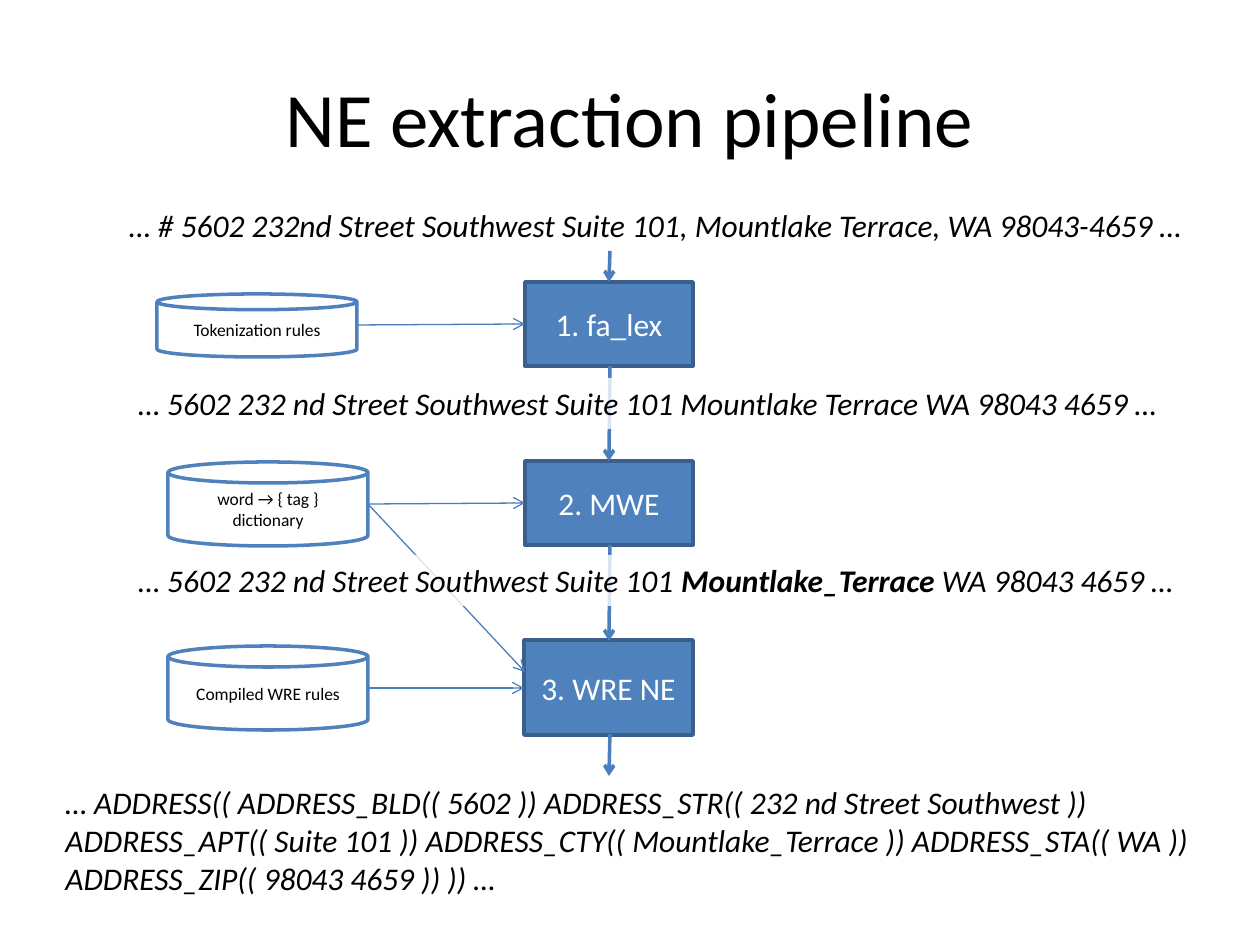
from dataclasses import dataclass

from lxml.etree import SubElement
from pptx import Presentation
from pptx.dml.color import RGBColor
from pptx.enum.shapes import MSO_CONNECTOR, MSO_SHAPE
from pptx.enum.text import MSO_ANCHOR, MSO_AUTO_SIZE, PP_ALIGN
from pptx.oxml.ns import qn
from pptx.util import Emu, Pt


@dataclass(frozen=True)
class Theme:
    font: str = "Calibri"
    ink: str = "000000"
    paper: str = "FFFFFF"
    blue: str = "4F81BD"
    edge: str = "3A5F8C"
    arrow: str = "4B7EBC"
    title: int = 44
    body: int = 18
    small: int = 10
    thick: float = 2
    thin: float = 0.75


@dataclass(frozen=True)
class Box:
    left: int
    top: int
    width: int
    height: int


@dataclass(frozen=True)
class Node:
    text: str
    box: Box


@dataclass(frozen=True)
class Strip:
    runs: tuple[tuple[str, bool], ...]  # text, bold
    box: Box
    alpha: int  # percent
    center: bool = False


@dataclass(frozen=True)
class Arrow:
    start: tuple[int, int]
    end: tuple[int, int]
    width: float


THEME = Theme()
WIDTH, HEIGHT = 1260, 945

STEPS = (
    Node("1. fa_lex", Box(525, 282, 168, 84)),
    Node("2. MWE", Box(525, 461, 168, 84)),
    Node("3. WRE NE", Box(524, 640, 169, 95)),
)
STORES = (
    Node("Tokenization rules", Box(157, 294, 200, 63)),
    Node("word → { tag }\ndictionary", Box(168, 462, 200, 84)),
    Node("Compiled WRE rules", Box(168, 646, 200, 84)),
)
FLOWS = tuple(
    Arrow((610, top), (609, end), THEME.thick)
    for top, end in ((251, 282), (366, 461), (545, 641), (734, 776))
)
FEEDS = tuple(
    Arrow(start, end, THEME.thin)
    for start, end in (
        ((357, 325), (525, 324)),
        ((368, 504), (525, 503)),
        ((368, 688), (524, 688)),
        ((368, 504), (525, 672)),
    )
)
INPUT = Strip(
    (("… # 5602 232nd Street Southwest Suite 101, Mountlake Terrace, WA 98043-4659 …", False),),
    Box(94, 198, 1124, 53), 100, center=True,
)
STAGES = (
    Strip(
        (("… 5602 232 nd Street Southwest Suite 101 Mountlake Terrace WA 98043 4659 …", False),),
        Box(126, 378, 1134, 51), 80,
    ),
    Strip(
        (
            ("… 5602 232 nd Street Southwest Suite 101 ", False),
            ("Mountlake_Terrace", True),
            (" WA 98043 4659 …", False),
        ),
        Box(126, 555, 1113, 51), 80,
    ),
)
OUTPUT = Strip(
    ((
        "… ADDRESS(( ADDRESS_BLD(( 5602 )) ADDRESS_STR(( 232 nd Street Southwest )) "
        "ADDRESS_APT(( Suite 101 )) ADDRESS_CTY(( Mountlake_Terrace )) "
        "ADDRESS_STA(( WA )) ADDRESS_ZIP(( 98043 4659 )) )) …", False),),
    Box(53, 777, 1207, 127), 0,
)


def px(count: int) -> Emu:
    return Emu(round(count * 914400 / 126))


def place(box: Box) -> tuple[Emu, ...]:
    return px(box.left), px(box.top), px(box.width), px(box.height)


def color(code: str) -> RGBColor:
    return RGBColor.from_string(code)


def style(para, size: int, ink: str, center: bool = True, italic: bool = False) -> None:
    para.alignment = PP_ALIGN.CENTER if center else PP_ALIGN.LEFT
    font = para.font
    font.name, font.size, font.italic = THEME.font, Pt(size), italic
    font.color.rgb = color(ink)


def draw_node(slide, node: Node, kind: MSO_SHAPE, fill: str, edge: str, size: int, ink: str) -> None:
    shape = slide.shapes.add_shape(kind, *place(node.box))
    shape.shadow.inherit = False
    shape.fill.solid()
    shape.fill.fore_color.rgb = color(fill)
    shape.line.color.rgb = color(edge)
    shape.line.width = Pt(THEME.thick)
    frame = shape.text_frame
    frame.text = node.text
    frame.word_wrap = True
    frame.vertical_anchor = MSO_ANCHOR.MIDDLE
    for para in frame.paragraphs:
        style(para, size, ink)


def draw_arrow(slide, arrow: Arrow) -> None:
    ends = (px(count) for count in arrow.start + arrow.end)
    line = slide.shapes.add_connector(MSO_CONNECTOR.STRAIGHT, *ends)
    line.line.color.rgb = color(THEME.arrow)
    line.line.width = Pt(arrow.width)
    props = line._element.spPr
    SubElement(props.find(qn("a:ln")), qn("a:tailEnd"), type="arrow")
    SubElement(props, qn("a:effectLst"))


def draw_strip(slide, strip: Strip) -> None:
    shape = slide.shapes.add_textbox(*place(strip.box))
    if strip.alpha:
        shape.fill.solid()
        shape.fill.fore_color.rgb = color(THEME.paper)
        tint = shape._element.spPr.find(qn("a:solidFill"))[0]
        SubElement(tint, qn("a:alpha"), val=str(strip.alpha * 1000))
    frame = shape.text_frame
    frame.word_wrap = True
    if strip.center:
        frame.vertical_anchor = MSO_ANCHOR.MIDDLE
    else:
        frame.auto_size = MSO_AUTO_SIZE.SHAPE_TO_FIT_TEXT
    para = frame.paragraphs[0]
    style(para, THEME.body, THEME.ink, strip.center, italic=True)
    for text, bold in strip.runs:
        run = para.add_run()
        run.text = text
        run.font.bold = bold


def main() -> None:
    deck = Presentation()
    deck.slide_width, deck.slide_height = px(WIDTH), px(HEIGHT)
    slide = deck.slides.add_slide(deck.slide_layouts[5])

    # Title
    title = slide.shapes.title
    title.left, title.top, title.width, title.height = place(Box(63, 38, 1134, 158))
    title.text_frame.text = "NE extraction pipeline"
    title.text_frame.vertical_anchor = MSO_ANCHOR.MIDDLE
    style(title.text_frame.paragraphs[0], THEME.title, THEME.ink)

    # Input text, steps and their data stores
    draw_strip(slide, INPUT)
    for step in STEPS:
        draw_node(slide, step, MSO_SHAPE.RECTANGLE, THEME.blue, THEME.edge, THEME.body, THEME.paper)
    for store in STORES:
        draw_node(slide, store, MSO_SHAPE.CAN, THEME.paper, THEME.blue, THEME.small, THEME.ink)

    # Arrows, then the texts that veil them
    for arrow in FLOWS + FEEDS:
        draw_arrow(slide, arrow)
    for strip in (*STAGES, OUTPUT):
        draw_strip(slide, strip)

    deck.save("out.pptx")


if __name__ == "__main__":
    main()
